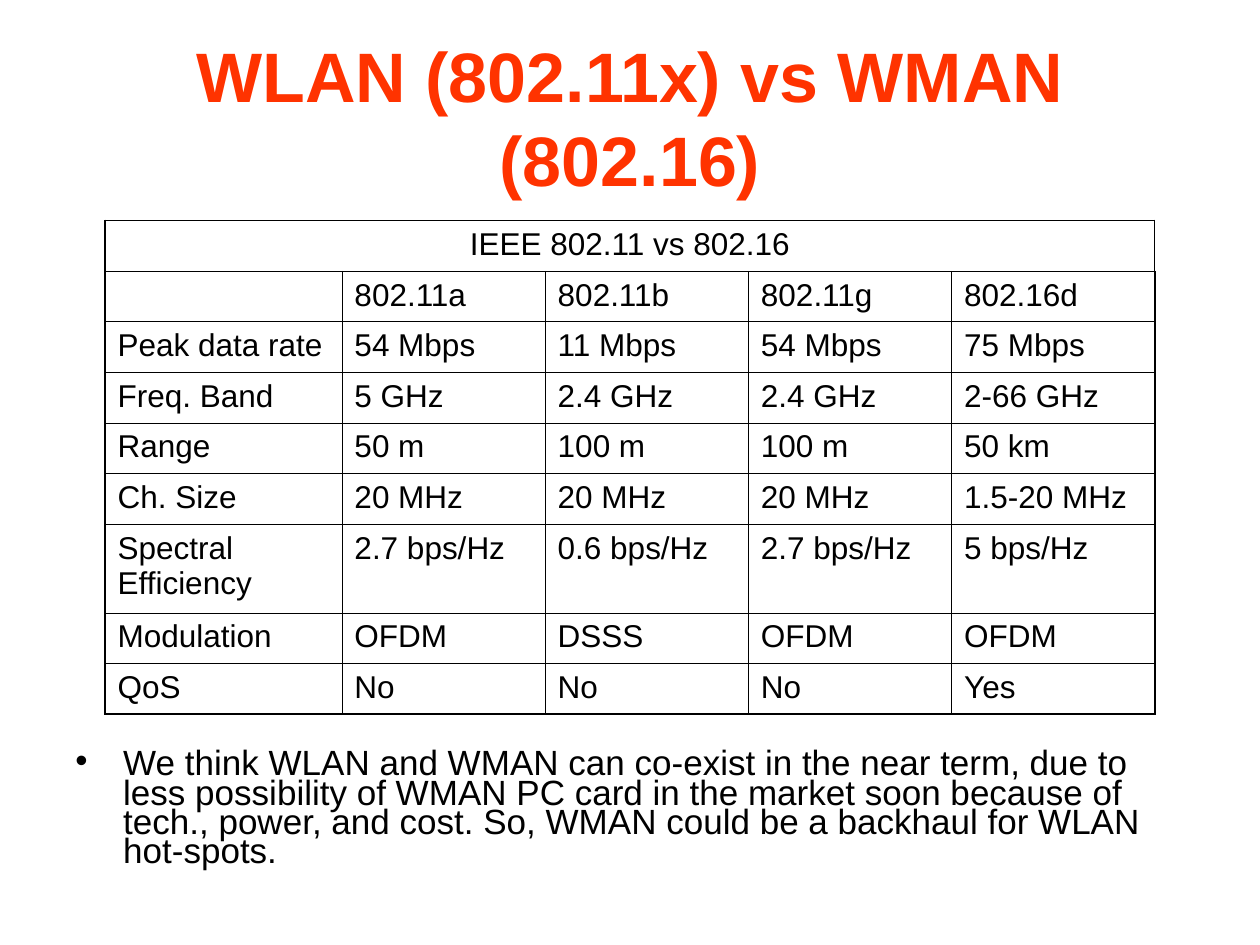
from dataclasses import dataclass

from lxml.etree import SubElement
from pptx import Presentation
from pptx.dml.color import RGBColor
from pptx.enum.text import MSO_ANCHOR as Anchor, PP_ALIGN as Align
from pptx.oxml.ns import qn
from pptx.util import Inches, Pt

BLACK = RGBColor(0x00, 0x00, 0x00)
ORANGE = RGBColor(0xFF, 0x33, 0x00)
FONT = "Arial"

PAGE_WIDTH, PAGE_HEIGHT = 10, 7.5
MARGIN = 0.05 * PAGE_WIDTH
INDENT = 0.38
THIN, THICK = 0.45, 1.08

TABLE_TOP = 1.75
TABLE_WIDTH, TABLE_HEIGHT = PAGE_WIDTH * 5 / 6, 3.92
LABEL_WIDTH = 1.88
ROW_SHARES = (4, 4, 4, 4, 4, 4, 7, 4, 4)
HEADING = "IEEE 802.11 vs 802.16"
ROWS = (
    ("", "802.11a", "802.11b", "802.11g", "802.16d"),
    ("Peak data rate", "54 Mbps", "11 Mbps", "54 Mbps", "75 Mbps"),
    ("Freq. Band", "5 GHz", "2.4 GHz", "2.4 GHz", "2-66 GHz"),
    ("Range", "50 m", "100 m", "100 m", "50 km"),
    ("Ch. Size", "20 MHz", "20 MHz", "20 MHz", "1.5-20 MHz"),
    ("Spectral Efficiency", "2.7 bps/Hz", "0.6 bps/Hz", "2.7 bps/Hz", "5 bps/Hz"),
    ("Modulation", "OFDM", "DSSS", "OFDM", "OFDM"),
    ("QoS", "No", "No", "No", "Yes"),
)


@dataclass(frozen=True)
class TextBlock:
    text: str
    top: float
    height: float
    size: float
    color: RGBColor = BLACK
    bold: bool = False
    align: Align = Align.LEFT
    anchor: Anchor = Anchor.TOP
    line_spacing: float = 1.0
    bullet: str = ""


BLOCKS = (
    TextBlock("WLAN (802.11x) vs WMAN (802.16)", 0.3, 1.25, 40, ORANGE, True,
              Align.CENTER, Anchor.MIDDLE),
    TextBlock("We think WLAN and WMAN can co-exist in the near term, due to less "
              "possibility of WMAN PC card in the market soon because of tech., "
              "power, and cost. So, WMAN could be a backhaul for WLAN hot-spots.",
              5.92, 1.08, 20, line_spacing=0.7, bullet="•"),
)


def style_runs(para, size: float, color: RGBColor = BLACK, bold: bool = False) -> None:
    for span in para.runs:
        span.font.name = FONT
        span.font.size = Pt(size)
        span.font.bold = bold
        span.font.color.rgb = color


def add_bullet(para, mark: str) -> None:
    props = para._p.get_or_add_pPr()
    props.set("marL", str(Inches(INDENT)))
    props.set("indent", str(-Inches(INDENT)))
    color = SubElement(props, qn("a:buClr"))
    SubElement(color, qn("a:srgbClr"), val=str(BLACK))
    SubElement(props, qn("a:buFont"), typeface=FONT)
    SubElement(props, qn("a:buChar"), char=mark)


def draw_text(page, block: TextBlock) -> None:
    box = page.shapes.add_textbox(Inches(MARGIN), Inches(block.top),
                                  Inches(PAGE_WIDTH - 2 * MARGIN), Inches(block.height))
    frame = box.text_frame
    frame.word_wrap = True
    frame.vertical_anchor = block.anchor
    frame.text = block.text
    para = frame.paragraphs[0]
    if block.bullet:
        add_bullet(para, block.bullet)
    para.alignment = block.align
    para.line_spacing = block.line_spacing
    style_runs(para, block.size, block.color, block.bold)


def set_borders(cell, widths: dict[str, float]) -> None:
    props = cell._tc.get_or_add_tcPr()
    for position, (side, width) in enumerate(widths.items()):
        line = props.makeelement(qn(f"a:{side}"), {"w": str(Pt(width))})
        fill = SubElement(line, qn("a:solidFill"))
        SubElement(fill, qn("a:srgbClr"), val=str(BLACK))
        props.insert(position, line)


def draw_table(page) -> None:
    row_count, column_count = len(ROW_SHARES), len(ROWS[0])
    frame = page.shapes.add_table(
        row_count, column_count, Inches((PAGE_WIDTH - TABLE_WIDTH) / 2), Inches(TABLE_TOP),
        Inches(TABLE_WIDTH), Inches(TABLE_HEIGHT))
    table = frame.table
    table.first_row = table.horz_banding = False
    value_width = (TABLE_WIDTH - LABEL_WIDTH) / (column_count - 1)
    for index, column in enumerate(table.columns):
        column.width = Inches(value_width if index else LABEL_WIDTH)
    for row, share in zip(table.rows, ROW_SHARES):
        row.height = Inches(TABLE_HEIGHT * share / sum(ROW_SHARES))

    heading = (HEADING,) + ("",) * (column_count - 1)
    for row_index, texts in enumerate((heading, *ROWS)):
        for column_index, text in enumerate(texts):
            cell = table.cell(row_index, column_index)
            cell.text_frame.text = text
            cell.fill.background()
            style_runs(cell.text_frame.paragraphs[0], 18)
            set_borders(cell, {
                "lnL": THICK if column_index == 0 else THIN,
                "lnR": THICK if column_index == column_count - 1 else THIN,
                "lnT": THICK if row_index == 0 else THIN,
                "lnB": THICK if row_index == row_count - 1 else THIN,
            })
    title_cell = table.cell(0, 0)
    title_cell.merge(table.cell(0, column_count - 1))
    title_cell.text_frame.paragraphs[0].alignment = Align.CENTER


def main() -> None:
    deck = Presentation()
    deck.slide_width, deck.slide_height = Inches(PAGE_WIDTH), Inches(PAGE_HEIGHT)
    page = deck.slides.add_slide(deck.slide_layouts[6])
    for block in BLOCKS:
        draw_text(page, block)
    draw_table(page)
    deck.save("out.pptx")


if __name__ == "__main__":
    main()
